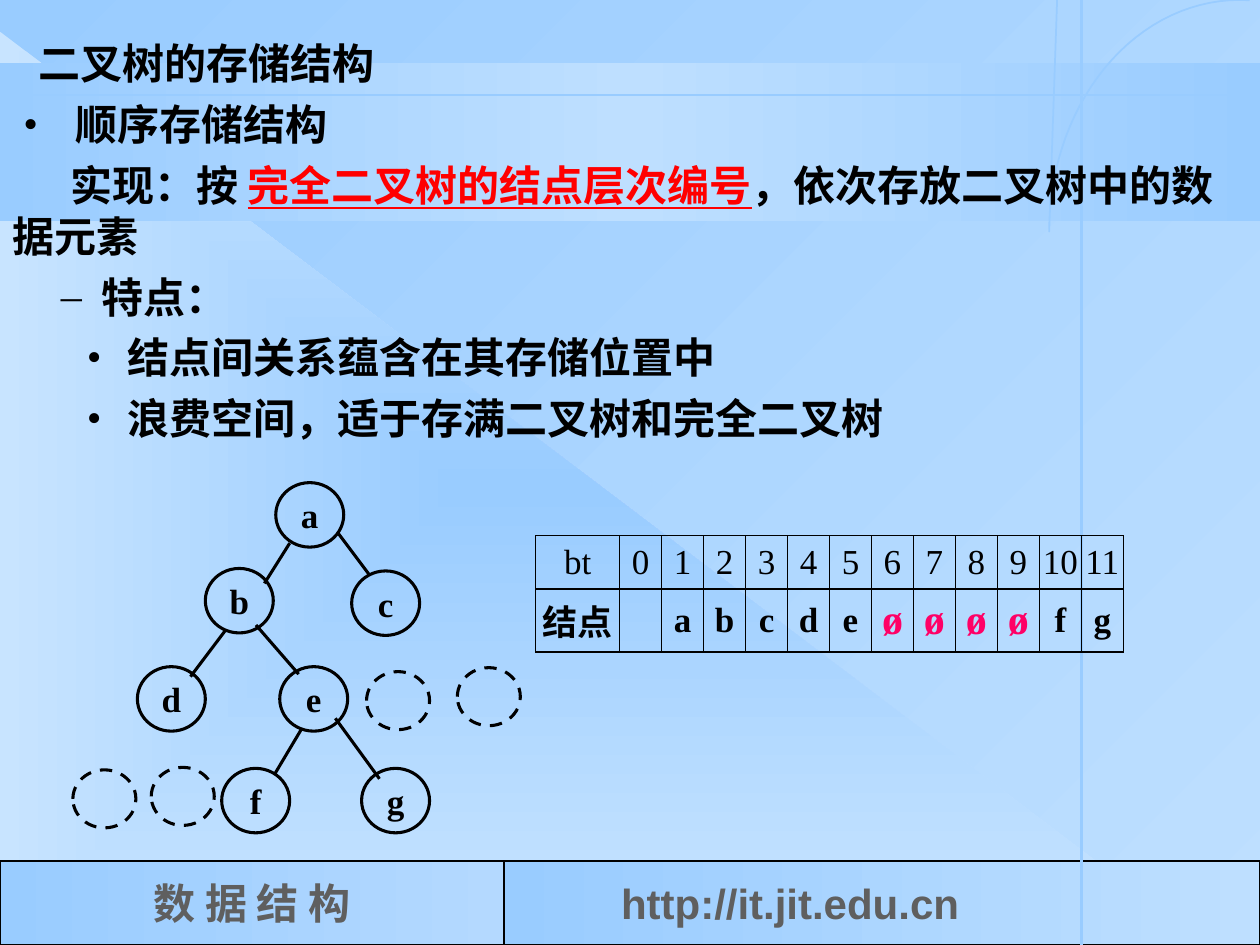
from math import cos, radians, sin

from lxml.etree import SubElement
from pptx import Presentation
from pptx.dml.color import RGBColor
from pptx.enum.dml import MSO_LINE
from pptx.enum.shapes import MSO_CONNECTOR, MSO_SHAPE
from pptx.enum.text import MSO_ANCHOR, PP_ALIGN
from pptx.oxml.ns import qn
from pptx.util import Cm, Pt

HUES = {"ink": "000000", "gray": "5F5F5F", "red": "FF0000", "pink": "FF0066",
        "sky": "99CCFF", "pale": "BEDFFF", "mist": "C8E4FF", "haze": "B4D9FF"}
SERIF = {"name": "Times New Roman", "bold": True}
WIDE, HIGH = 25.4, 19.05


def rgb(hue):
    return RGBColor.from_string(HUES[hue])


def apply(item, form):
    for key, value in form.items():
        setattr(item, key, value)


def write(para, text, form, hue="ink"):
    run = para.add_run()
    run.text = text
    apply(run.font, form)
    run.font.color.rgb = rgb(hue)


def shade(fill, root, hues, angle=None):
    """Even gradient; without an angle it spreads from the centre."""
    fill.gradient()
    grad = next(root.iter(qn("a:gradFill")))
    for part in list(grad):
        grad.remove(part)
    stops = SubElement(grad, qn("a:gsLst"))
    for i, hue in enumerate(hues):
        stop = SubElement(stops, qn("a:gs"), pos=str(100000 * i // (len(hues) - 1)))
        SubElement(stop, qn("a:srgbClr"), val=HUES[hue])
    if angle is None:
        way = SubElement(grad, qn("a:path"), path="rect")
        SubElement(way, qn("a:fillToRect"), **dict.fromkeys("ltrb", "50000"))
    else:
        SubElement(grad, qn("a:lin"), ang=str(angle * 60000), scaled="1")


def pen(shape, hue, width):
    shape.line.color.rgb = rgb(hue)
    shape.line.width = Pt(width)


def draw(slide, kind, box, hue=None, width=1):
    shape = slide.shapes.add_shape(kind, *map(Cm, box))
    shape.shadow.inherit = False
    shape.fill.background()
    if hue:
        pen(shape, hue, width)
    else:
        shape.line.fill.background()
    return shape


def link(slide, ends, hue, width):
    line = slide.shapes.add_connector(MSO_CONNECTOR.STRAIGHT, *map(Cm, ends))
    pen(line, hue, width)
    SubElement(line._element.spPr, qn("a:effectLst"))


def back(slide, box):
    x, y, w, h = box
    shade(slide.background.fill, slide._element, ["sky", "pale"], 45)
    # Triangle and band
    for kind, part, hues, angle in [
        (MSO_SHAPE.RIGHT_TRIANGLE, (x, y + 0.64, 24.33, h - 0.64), ["sky", "mist"], None),
        (MSO_SHAPE.RECTANGLE, (x, y + 1.27, w, 3.18), ["sky", "pale", "sky"], 0),
    ]:
        shape = draw(slide, kind, part)
        shade(shape.fill, shape._element, hues, angle)


def foot(slide, box):
    x, y, w, h = box
    split = w * 0.4
    cells = [
        (x, split, "pale" and "haze", "数 据 结 构", "Times New Roman", PP_ALIGN.CENTER, 0.25),
        (x + split, w - split, "pale", "http://it.jit.edu.cn", "Arial", PP_ALIGN.LEFT, 2.36),
    ]
    for left, width, hue, text, face, align, inset in cells:
        shape = draw(slide, MSO_SHAPE.RECTANGLE, (left, y, width, h), "ink", 1.5)
        shade(shape.fill, shape._element, ["sky", hue], 0)
        apply(shape.text_frame, {"margin_left": Cm(inset), "word_wrap": True,
                                 "vertical_anchor": MSO_ANCHOR.MIDDLE})
        para = shape.text_frame.paragraphs[0]
        para.alignment = align
        write(para, text, {"name": face, "size": Pt(24), "bold": True}, "gray")


def lines(slide, box):
    x, y, w, h = box
    link(slide, (x, y + 1.91, x + w, y + 1.91), "sky", 1)
    link(slide, (x + 21.8, y, x + 21.8, y + h), "sky", 1.5)
    # Thin stroke that turns into a quarter arc
    mid, drop, reach = x + 24.99, y + 4.67, 3.84
    turn = [(Cm(mid + reach * cos(radians(a))), Cm(drop + 4.67 * sin(radians(a))))
            for a in range(180, 274, 3)]
    path = slide.shapes.build_freeform(Cm(x + 21.31), Cm(y), scale=1.0)
    path.add_line_segments(turn, close=False)
    arc = path.convert_to_shape()
    arc.shadow.inherit = False
    arc.fill.background()
    pen(arc, "sky", 1)


def body(slide, box):
    frame = slide.shapes.add_textbox(*map(Cm, box)).text_frame
    frame.word_wrap = True
    # Margin, first-line indent, bullet, text runs
    rows = [
        (0.53, 0, None, [("二叉树的存储结构", "ink")]),
        (1.27, -1.05, "•", [("顺序存储结构", "ink")]),
        (0, 1.17, None, [("实现：按 ", "ink"), ("完全二叉树的结点层次编号", "red"),
                         ("，依次存放二叉树中的数据元素", "ink")]),
        (1.8, -0.82, "–", [("特点：", "ink")]),
        (2.32, -0.82, "•", [("结点间关系蕴含在其存储位置中", "ink")]),
        (2.32, -0.82, "•", [("浪费空间，适于存满二叉树和完全二叉树", "ink")]),
    ]
    for i, (left, first, mark, runs) in enumerate(rows):
        para = frame.add_paragraph() if i else frame.paragraphs[0]
        props = para._p.get_or_add_pPr()
        props.set("marL", str(Cm(left)))
        props.set("indent", str(Cm(first)))
        if mark:
            SubElement(props, qn("a:buFont"), typeface=SERIF["name"])
            SubElement(props, qn("a:buChar"), char=mark)
        para.space_before = Pt(6 if i else 0)
        for text, hue in runs:
            write(para, text, {**SERIF, "size": Pt(24), "underline": hue == "red"}, hue)


def tree(slide, box):
    x, y = box[:2]
    nodes = {"a": (4.09, 0), "b": (2.67, 1.73), "c": (5.62, 1.78), "d": (1.3, 3.71),
             "e": (4.17, 3.71), "f": (3, 5.76), "g": (5.82, 5.76)}
    for name, (dx, dy) in nodes.items():
        ring = draw(slide, MSO_SHAPE.OVAL, (x + dx, y + dy, 1.37, 1.3), "ink", 1.75)
        apply(ring.text_frame, {"word_wrap": False, "vertical_anchor": MSO_ANCHOR.MIDDLE})
        para = ring.text_frame.paragraphs[0]
        para.alignment = PP_ALIGN.CENTER
        write(para, name, {**SERIF, "size": Pt(20)})
    # Branches
    for x1, y1, x2, y2 in [
        (4.37, 1.22, 3.86, 2.03), (3.08, 2.97, 2.37, 3.91), (5.34, 1.01, 5.97, 1.85),
        (3.69, 2.87, 4.55, 3.86), (5.29, 4.75, 6.18, 5.97), (4.6, 4.98, 4.07, 5.87),
    ]:
        link(slide, (x + x1, y + y1, x + x2, y + y2), "ink", 1.75)
    # Missing nodes
    for dx, dy in [(5.92, 3.81), (7.75, 3.73), (0, 5.79), (1.58, 5.74)]:
        ring = draw(slide, MSO_SHAPE.OVAL, (x + dx, y + dy, 1.27, 1.17), "ink", 1.75)
        ring.line.dash_style = MSO_LINE.DASH


def edge(cell):
    props = cell._tc.get_or_add_tcPr()
    for side in ("lnL", "lnR", "lnT", "lnB"):
        line = SubElement(props, qn("a:" + side), w=str(Pt(1)))
        fill = SubElement(line, qn("a:solidFill"))
        SubElement(fill, qn("a:srgbClr"), val=HUES["ink"])


def array(slide, box):
    rows = [["bt", *map(str, range(12))], ["结点", "", *"abcdeøøøøfg"]]
    table = slide.shapes.add_table(2, 13, *map(Cm, box)).table
    apply(table, {"first_row": False, "horz_banding": False})
    unit = box[2] / 14
    for i, col in enumerate(table.columns):
        col.width = Cm(unit if i else 2 * unit)
    for r, (row, high) in enumerate(zip(rows, (1.07, 1.27))):
        table.rows[r].height = Cm(high)
        for c, text in enumerate(row):
            cell = table.cell(r, c)
            edge(cell)
            cell.fill.background()
            apply(cell, {"margin_left": 0, "margin_right": 0, "margin_top": 0,
                         "margin_bottom": 0, "vertical_anchor": MSO_ANCHOR.MIDDLE})
            para = cell.text_frame.paragraphs[0]
            para.alignment = PP_ALIGN.CENTER
            void = text == "ø"
            if text:
                write(para, text, {**SERIF, "bold": r == 1, "size": Pt(24 if void else 20)},
                      "pink" if void else "ink")


def main():
    deck = Presentation()
    apply(deck, {"slide_width": Cm(WIDE), "slide_height": Cm(HIGH)})
    slide = deck.slides.add_slide(deck.slide_layouts[6])
    page = (0, 0, WIDE, HIGH)
    back(slide, page)
    foot(slide, (0, 17.36, WIDE, 1.69))
    lines(slide, page)
    body(slide, (0, 0.64, WIDE, 8.46))
    tree(slide, (1.47, 9.73, 9.02, 7.06))
    array(slide, (10.8, 10.8, 11.85, 2.34))
    deck.save("out.pptx")


if __name__ == "__main__":
    main()
